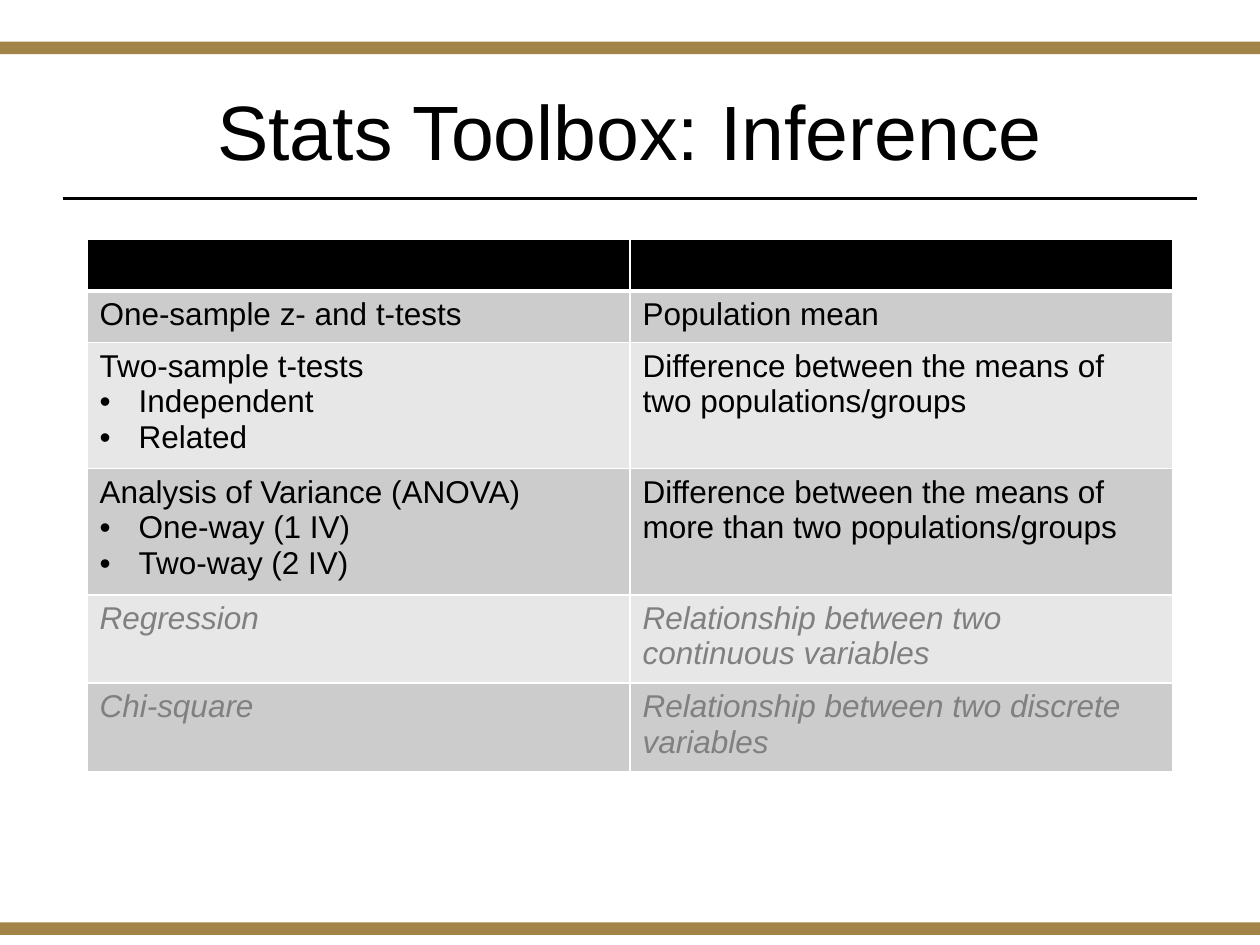
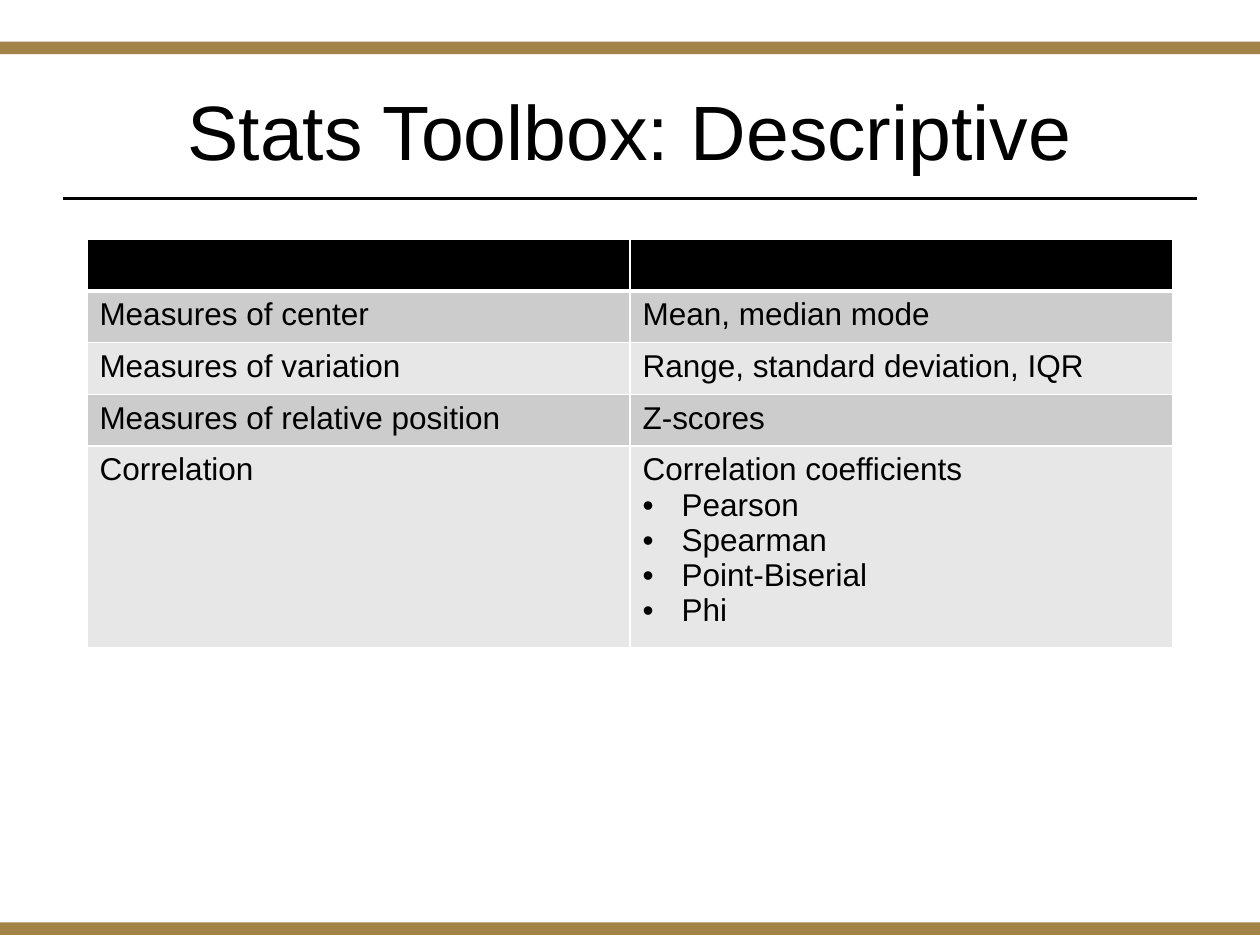
import dataclasses

import pptx
import pptx.dml.color
import pptx.enum.shapes
import pptx.enum.text
import pptx.oxml.ns
import pptx.util
from lxml import etree

WIDTH = pptx.util.Inches(10)
HEIGHT = pptx.util.Inches(7.5)


@dataclasses.dataclass(frozen=True)
class Theme:
    font: str = "Arial"
    title_size: float = 44
    body_size: float = 18
    ink: str = "000000"
    muted: str = "808080"
    gold: str = "A28448"
    grid: str = "FFFFFF"
    stripes: tuple = ("CCCCCC", "E7E7E7")
    rule_width: float = 1.25
    grid_width: float = 1
    header_line_width: float = 3


THEME = Theme()

# Each cell is a list: a lead line, then its bulleted items.
INFERENCE = [
    (["One-sample z- and t-tests"], ["Population mean"]),
    (["Two-sample t-tests", "Independent", "Related"],
     ["Difference between the means of two populations/groups"]),
    (["Analysis of Variance (ANOVA)", "One-way (1 IV)", "Two-way (2 IV)"],
     ["Difference between the means of more than two populations/groups"]),
    (["Regression"], ["Relationship between two continuous variables"]),
    (["Chi-square"], ["Relationship between two discrete variables"]),
]
UPCOMING_TESTS = {"Regression", "Chi-square"}

DESCRIPTIVE = [
    (["Measures of center"], ["Mean, median mode"]),
    (["Measures of variation"], ["Range, standard deviation, IQR"]),
    (["Measures of relative position"], ["Z-scores"]),
    (["Correlation"],
     ["Correlation coefficients", "Pearson", "Spearman", "Point-Biserial", "Phi"]),
]


def color(code):
    return pptx.dml.color.RGBColor.from_string(code)


def across(share):
    return round(WIDTH * share)


def down(share):
    return round(HEIGHT * share)


def apply_format(target, values):
    for name, value in values.items():
        setattr(target, name, value)


def fill_solid(item, code):
    item.fill.solid()
    item.fill.fore_color.rgb = color(code)


def add_span(para, text, size, ink=THEME.ink, italic=False):
    span = para.add_run()
    span.text = text
    apply_format(span.font, {"name": THEME.font, "size": pptx.util.Pt(size), "italic": italic})
    span.font.color.rgb = color(ink)


def add_band(page, top):
    band = page.shapes.add_shape(
        pptx.enum.shapes.MSO_SHAPE.RECTANGLE, 0, down(top), WIDTH, pptx.util.Inches(0.1))
    band.shadow.inherit = False
    fill_solid(band, THEME.gold)
    band.line.fill.background()


def add_rule(page, height):
    rule = page.shapes.add_connector(
        pptx.enum.shapes.MSO_CONNECTOR.STRAIGHT,
        across(0.05), down(height), across(0.95), down(height))
    rule.line.color.rgb = color(THEME.ink)
    rule.line.width = pptx.util.Pt(THEME.rule_width)
    etree.SubElement(rule._element.spPr, pptx.oxml.ns.qn("a:effectLst"))


def add_title(page, text):
    box = page.shapes.add_textbox(
        across(0.069), pptx.util.Inches(0.35), across(0.862), pptx.util.Inches(1.45))
    apply_format(box.text_frame, {
        "word_wrap": True, "vertical_anchor": pptx.enum.text.MSO_ANCHOR.MIDDLE})
    para = box.text_frame.paragraphs[0]
    apply_format(para, {"alignment": pptx.enum.text.PP_ALIGN.CENTER, "line_spacing": 0.9})
    add_span(para, text, THEME.title_size)


def add_bullet(para):
    properties = para._p.get_or_add_pPr()
    indent = pptx.util.Inches(0.31)
    properties.set("marL", str(indent))
    properties.set("indent", str(-indent))
    etree.SubElement(properties, pptx.oxml.ns.qn("a:buFont"), typeface=THEME.font)
    etree.SubElement(properties, pptx.oxml.ns.qn("a:buChar"), char="•")


def draw_borders(cell, top, bottom):
    """Draw the four borders; call before filling, as the schema puts lines first."""
    widths = {"L": THEME.grid_width, "R": THEME.grid_width, "T": top, "B": bottom}
    for side, width in widths.items():
        line = etree.SubElement(
            cell._tc.get_or_add_tcPr(), pptx.oxml.ns.qn(f"a:ln{side}"),
            w=str(pptx.util.Pt(width)))
        fill = etree.SubElement(line, pptx.oxml.ns.qn("a:solidFill"))
        etree.SubElement(fill, pptx.oxml.ns.qn("a:srgbClr"), val=THEME.grid)


def write_cell(cell, lines, muted):
    style = {"ink": THEME.muted, "italic": True} if muted else {}
    for index, text in enumerate(lines):
        frame = cell.text_frame
        para = frame.add_paragraph() if index else frame.paragraphs[0]
        if index:
            add_bullet(para)
        add_span(para, text, THEME.body_size, **style)


def add_toolbox_table(page, rows, muted_rows):
    """Place a two-column table under an empty black header row."""
    row_height = pptx.util.Inches(0.41)
    count = len(rows) + 1
    table = page.shapes.add_table(
        count, 2, across(0.069), pptx.util.Inches(1.9),
        across(0.862), row_height * count).table
    apply_format(table, {"first_row": False, "horz_banding": False})
    for row in table.rows:
        row.height = row_height
    for index, contents in enumerate([([], []), *rows]):
        top = THEME.header_line_width if index == 1 else THEME.grid_width
        bottom = THEME.header_line_width if index == 0 else THEME.grid_width
        shade = THEME.stripes[(index - 1) % 2] if index else THEME.ink
        muted = index > 0 and contents[0][0] in muted_rows
        for column, lines in enumerate(contents):
            cell = table.cell(index, column)
            draw_borders(cell, top, bottom)
            fill_solid(cell, shade)
            write_cell(cell, lines, muted)


def add_toolbox_page(deck, title, rows, muted_rows=()):
    page = deck.slides.add_slide(deck.slide_layouts[6])
    for top in (0.976, 0.044):
        add_band(page, top)
    add_rule(page, 0.21)
    add_title(page, title)
    add_toolbox_table(page, rows, muted_rows)


def main():
    deck = pptx.Presentation()
    apply_format(deck, {"slide_width": WIDTH, "slide_height": HEIGHT})
    add_toolbox_page(deck, "Stats Toolbox: Inference", INFERENCE, UPCOMING_TESTS)
    add_toolbox_page(deck, "Stats Toolbox: Descriptive", DESCRIPTIVE)
    deck.save("out.pptx")


if __name__ == "__main__":
    main()
